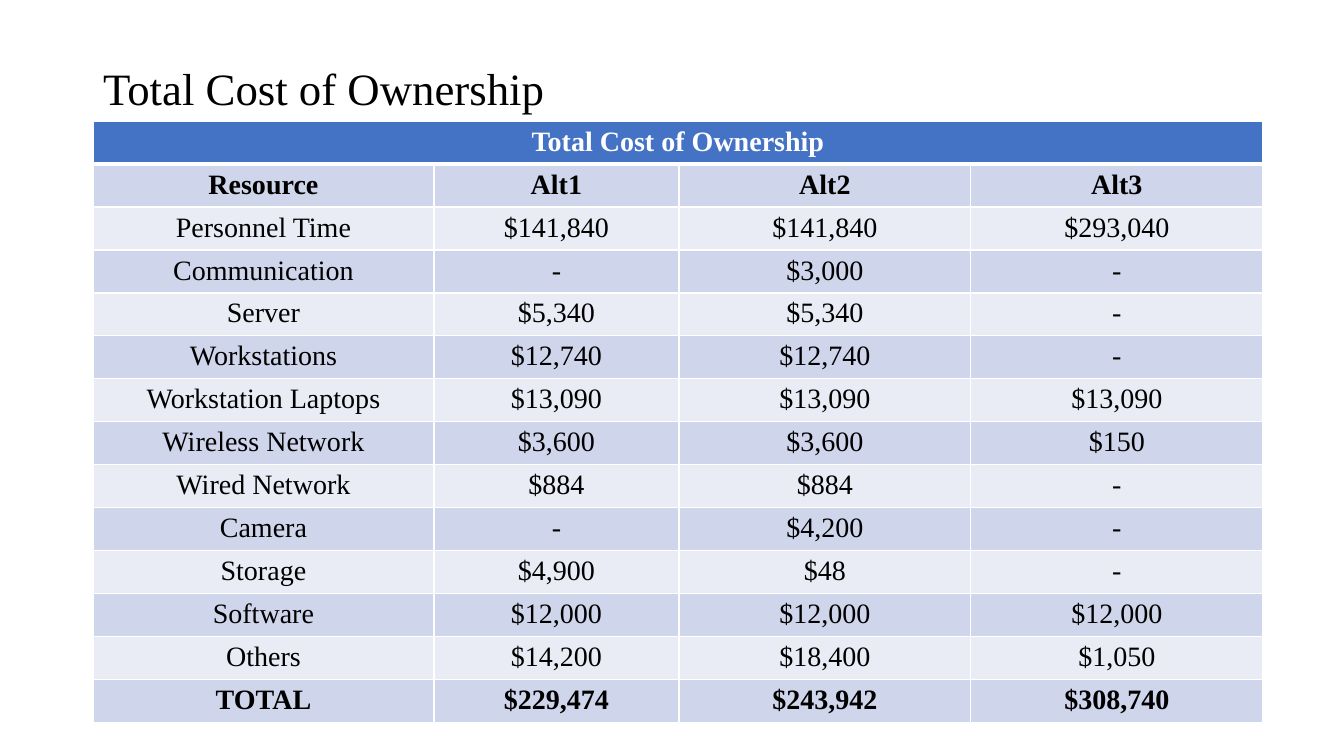
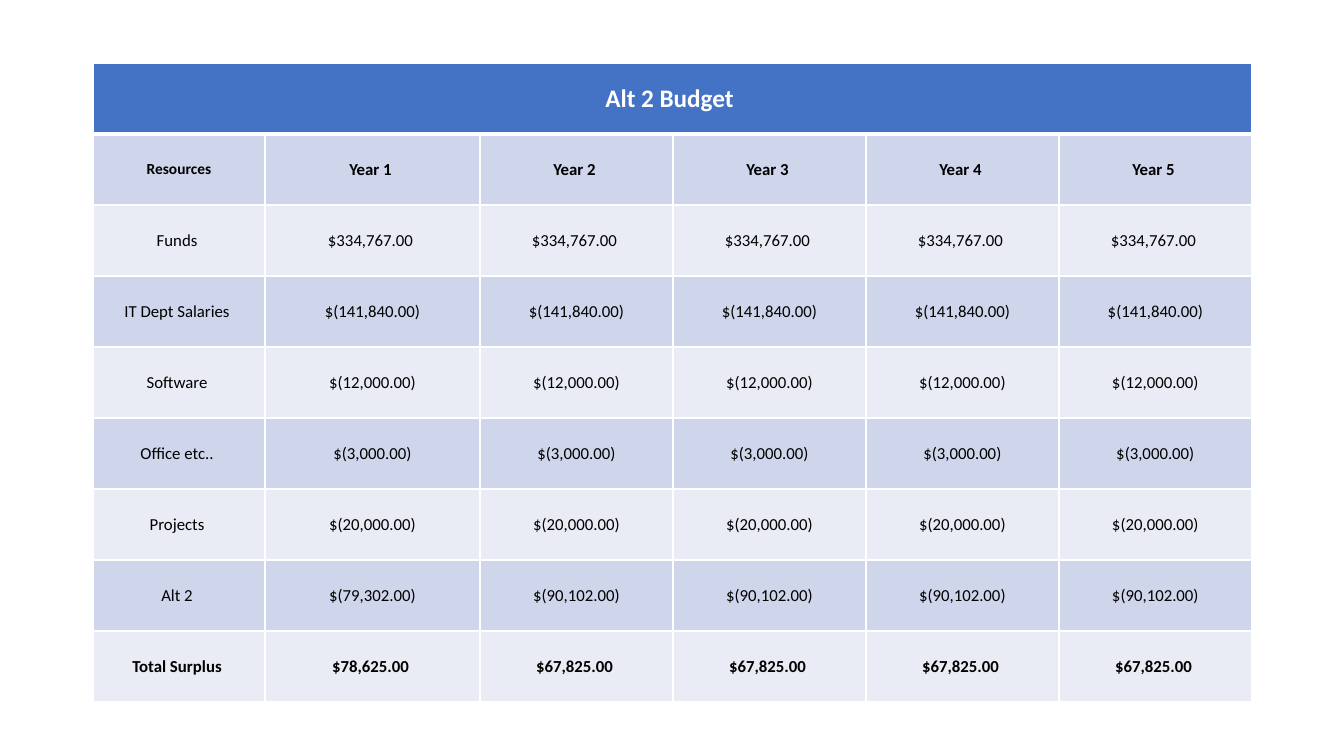
from lxml import etree
from pptx import Presentation
from pptx.dml.color import RGBColor
from pptx.enum.text import MSO_ANCHOR, MSO_AUTO_SIZE, PP_ALIGN
from pptx.oxml.ns import qn
from pptx.util import Emu, Pt

TOP, MIDDLE = MSO_ANCHOR.TOP, MSO_ANCHOR.MIDDLE
LEFT, CENTER = PP_ALIGN.LEFT, PP_ALIGN.CENTER
NO_FIT = MSO_AUTO_SIZE.NONE
SERIF, SANS = "Times New Roman", "Calibri"
WHITE, BLACK, HEAD = "FFFFFF", "000000", "4472C4"
BANDS = ["CFD5EA", "E9EBF5"]
NB = "\u00a0"
TITLE_ONLY, BLANK = 5, 6

COSTS = [
    ["Resource", "Alt1", "Alt2", "Alt3"],
    ["Personnel Time", "$141,840", "$141,840", "$293,040"],
    ["Communication", "-", "$3,000", "-"],
    ["Server", "$5,340", "$5,340", "-"],
    ["Workstations", "$12,740", "$12,740", "-"],
    ["Workstation Laptops", "$13,090", "$13,090", "$13,090"],
    ["Wireless Network", "$3,600", "$3,600", "$150"],
    ["Wired Network", "$884", "$884", "-"],
    ["Camera", "-", "$4,200", "-"],
    ["Storage", "$4,900", "$48", "-"],
    ["Software", "$12,000", "$12,000", "$12,000"],
    ["Others", "$14,200", "$18,400", "$1,050"],
    ["TOTAL", "$229,474", "$243,942", "$308,740"],
]
BUDGET = [
    ("Funds", 334767, 334767),
    ("IT Dept Salaries", -141840, -141840),
    ("Software", -12000, -12000),
    (f"Office{NB}etc..", -3000, -3000),
    ("Projects", -20000, -20000),
    ("Alt 2", -79302, -90102),
    ("Total Surplus", 78625, 67825),
]


def px(n):
    return Emu(round(n * 914400 / 100.8))


def color(code):
    return RGBColor.from_string(code)


def style(para, font, size, ink, bold, align):
    para.alignment = align
    for run in para.runs:
        run.font.name = font
        run.font.size = Pt(size)
        run.font.bold = bold
        run.font.color.rgb = color(ink)


def border(cell, top, bottom):
    props = cell._tc.get_or_add_tcPr()
    sides = [("a:lnL", 1), ("a:lnR", 1), ("a:lnT", top), ("a:lnB", bottom)]
    for spot, (side, width) in enumerate(sides):
        line = etree.Element(qn(side), w=str(Pt(width)))
        fill = etree.SubElement(line, qn("a:solidFill"))
        etree.SubElement(fill, qn("a:srgbClr"), val=WHITE)
        props.insert(spot, line)


def add_title(slide, text, x, y, w, h):
    title = slide.shapes.title
    title.left, title.top, title.width, title.height = map(px, (x, y, w, h))
    frame = title.text_frame
    frame.text = text
    frame.auto_size = NO_FIT
    frame.vertical_anchor = MIDDLE
    frame.paragraphs[0].line_spacing = 0.9
    style(frame.paragraphs[0], SERIF, 32, BLACK, False, LEFT)


def add_grid(slide, x, y, cols, high, head, rows, font, sizes, anchor):
    rows = [[head] + [""] * (len(cols) - 1)] + rows
    last = len(rows) - 1
    head_size, corner_size, size = sizes
    grid = slide.shapes.add_table(len(rows), len(cols), px(x), px(y),
                                  px(sum(cols)), px(high * len(rows))).table
    for col, width in zip(grid.columns, cols):
        col.width = px(width)
    for r, row in enumerate(rows):
        grid.rows[r].height = px(high)
        for c, text in enumerate(row):
            cell = grid.cell(r, c)
            cell.text = text
            cell.vertical_anchor = anchor
            cell.fill.solid()
            cell.fill.fore_color.rgb = color(BANDS[(r - 1) % 2] if r else HEAD)
            border(cell, 3 if r == 1 else 1, 1 if r else 3)
            points = head_size if r == 0 else size
            if (r, c) == (1, 0):
                points = corner_size
            style(cell.text_frame.paragraphs[0], font, points,
                  BLACK if r else WHITE, r in (0, 1, last), CENTER)
    grid.cell(0, 0).merge(grid.cell(0, len(cols) - 1))


def money(value):
    if value < 0:
        return f"{NB}$({-value:,.2f}){NB}"
    return f"{NB}${value:,.2f}{NB}{NB}"


def cost_slide(deck):
    slide = deck.slides.add_slide(deck.slide_layouts[TITLE_ONLY])
    add_title(slide, "Total Cost of Ownership", 93, 40, 1159, 103)
    add_grid(slide, 93, 121, [341, 245, 292, 292], 43,
             "Total Cost of Ownership", COSTS, SERIF, (20, 20, 20), TOP)


def budget_slide(deck):
    slide = deck.slides.add_slide(deck.slide_layouts[BLANK])
    rows = [["Resources"] + [f"Year {n}{NB}" for n in range(1, 6)]]
    for name, first, later in BUDGET:
        rows.append([name + NB, money(first)] + [money(later)] * 4)
    add_grid(slide, 93, 63, [172, 215] + [193] * 4, 71,
             f"Alt 2 Budget{NB}", rows, SANS, (18, 11, 12), MIDDLE)


deck = Presentation()
deck.slide_width, deck.slide_height = px(1344), px(756)
cost_slide(deck)
budget_slide(deck)
deck.save("out.pptx")
